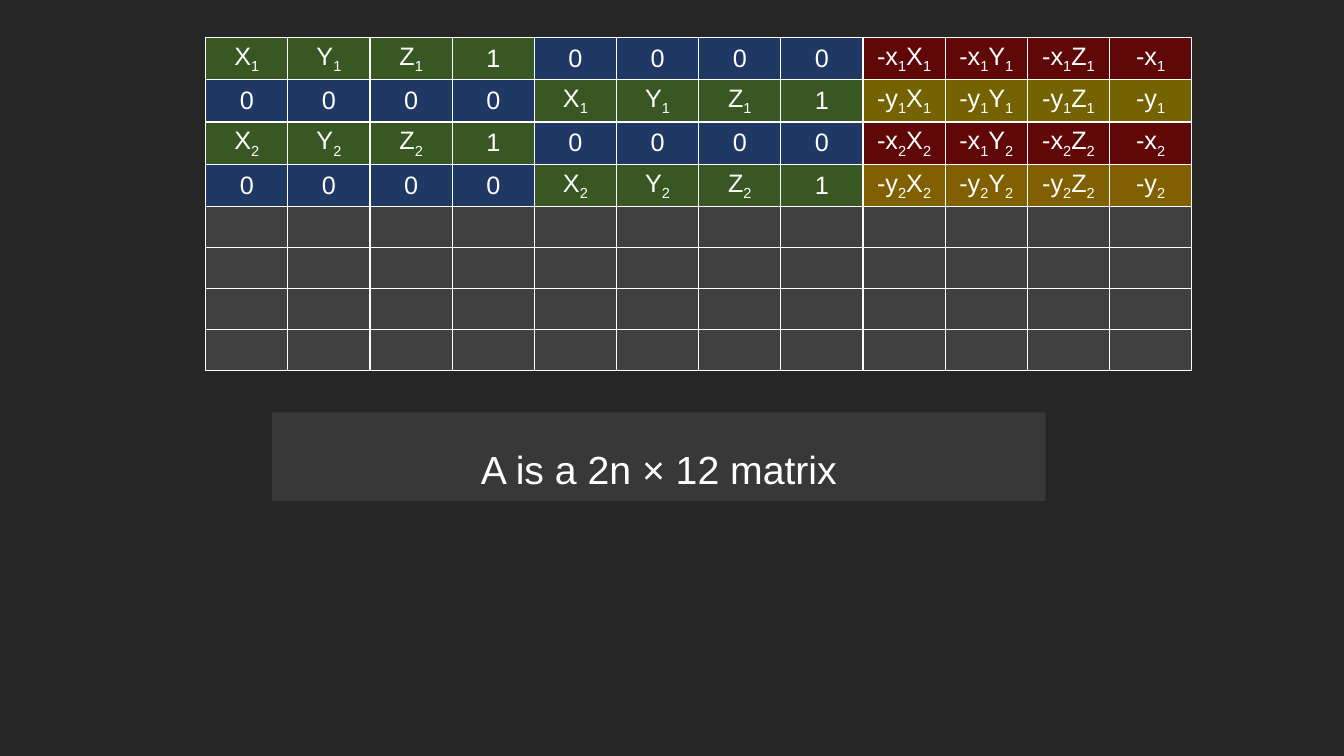
"""Build the slide that shows the layout of the matrix A."""
import itertools

import pptx
import pptx.util
import pptx.dml.color
import pptx.enum.text
import pptx.oxml

Inches = pptx.util.Inches
Pt = pptx.util.Pt
RGBColor = pptx.dml.color.RGBColor

BACK = RGBColor(0x26, 0x26, 0x26)
WHITE = RGBColor(0xFF, 0xFF, 0xFF)
GRAY = RGBColor(0x80, 0x80, 0x80)
EMPTY = RGBColor(0x40, 0x40, 0x40)
GREEN = RGBColor(0x38, 0x57, 0x23)
BLUE = RGBColor(0x20, 0x38, 0x64)
RED = RGBColor(0x60, 0x08, 0x08)
OLIVE = RGBColor(0x74, 0x63, 0x00)
GOLD = RGBColor(0x80, 0x60, 0x00)

FONT = "Arial"
SPACE = "http://schemas.openxmlformats.org/drawingml/2006/main"
ZEROS = ["0"] * 4
ROWS, COLS = 8, 12


def add_run(para, text, size, sub=False):
    """Add one white run, lowered if it is a subscript."""
    run = para.add_run()
    run.text = text
    run.font.size = Pt(size)
    run.font.name = FONT
    run.font.color.rgb = WHITE
    if sub:
        run.font._element.set("baseline", "-25000")


def add_term(para, term):
    """Write a term, with the digits after a letter as subscripts."""
    for digit, group in itertools.groupby(term, str.isdigit):
        add_run(para, "".join(group), 18, digit and len(term) > 1)


def add_edges(cell):
    """Draw thin white lines on the four sides of a cell."""
    props = cell._tc.get_or_add_tcPr()
    for spot, side in enumerate(("lnL", "lnR", "lnT", "lnB")):
        props.insert(spot, pptx.oxml.parse_xml(
            f'<a:{side} xmlns:a="{SPACE}" w="12700"><a:solidFill>'
            f'<a:srgbClr val="{WHITE}"/></a:solidFill></a:{side}>'))


def point_rows(num, tint, mixed):
    """Give the two rows of a point as lists of terms and fills."""
    point = [f"X{num}", f"Y{num}", f"Z{num}", "1"]
    last = [f"-y{num}{name}" for name in point[:3]] + [f"-y{num}"]
    return [
        (point + ZEROS + mixed, [GREEN] * 4 + [BLUE] * 4 + [RED] * 4),
        (ZEROS + point + last, [BLUE] * 4 + [GREEN] * 4 + [tint] * 4),
    ]


def add_matrix(slide):
    """Add the matrix with two filled points and empty rows below."""
    rows = point_rows(1, OLIVE, ["-x1X1", "-x1Y1", "-x1Z1", "-x1"])
    rows += point_rows(2, GOLD, ["-x2X2", "-x1Y2", "-x2Z2", "-x2"])
    rows += [([""] * COLS, [EMPTY] * COLS)] * (ROWS - len(rows))
    table = slide.shapes.add_table(
        ROWS, COLS, Inches(2.04), Inches(0.37), Inches(9.78), Inches(3.24)).table
    for row, (terms, fills) in zip(table.rows, rows):
        for cell, term, fill in zip(row.cells, terms, fills):
            cell.fill.solid()
            cell.fill.fore_color.rgb = fill
            cell.vertical_anchor = pptx.enum.text.MSO_ANCHOR.MIDDLE
            add_edges(cell)
            para = cell.text_frame.paragraphs[0]
            para.alignment = pptx.enum.text.PP_ALIGN.CENTER
            add_term(para, term)


def set_note(body, text):
    """Place and format the body text on a faint gray panel."""
    body.left, body.top = Inches(2.7), Inches(4.09)
    body.width, body.height = Inches(7.67), Inches(0.88)
    body.fill.solid()
    body.fill.fore_color.rgb = GRAY
    color = body.fill._xPr.find(f".//{{{SPACE}}}srgbClr")
    color.append(pptx.oxml.parse_xml(f'<a:alpha xmlns:a="{SPACE}" val="20000"/>'))
    frame = body.text_frame
    frame.auto_size = pptx.enum.text.MSO_AUTO_SIZE.NONE
    frame.vertical_anchor = pptx.enum.text.MSO_ANCHOR.MIDDLE
    para = frame.paragraphs[0]
    para.alignment = pptx.enum.text.PP_ALIGN.CENTER
    para.line_spacing = 1.5
    para.space_before = Pt(10)
    props = para._p.get_or_add_pPr()
    props.set("marL", "0")
    props.set("indent", "0")
    props.append(pptx.oxml.parse_xml(f'<a:buNone xmlns:a="{SPACE}"/>'))
    add_run(para, text, 28)


def main():
    """Build and save the slide."""
    deck = pptx.Presentation()
    deck.slide_width, deck.slide_height = Inches(13.33), Inches(7.5)
    slide = deck.slides.add_slide(deck.slide_layouts[1])
    slide.background.fill.solid()
    slide.background.fill.fore_color.rgb = BACK
    title = slide.shapes.title._element
    title.getparent().remove(title)
    set_note(slide.placeholders[1], "A is a 2n × 12 matrix")
    add_matrix(slide)
    deck.save("out.pptx")


main()
